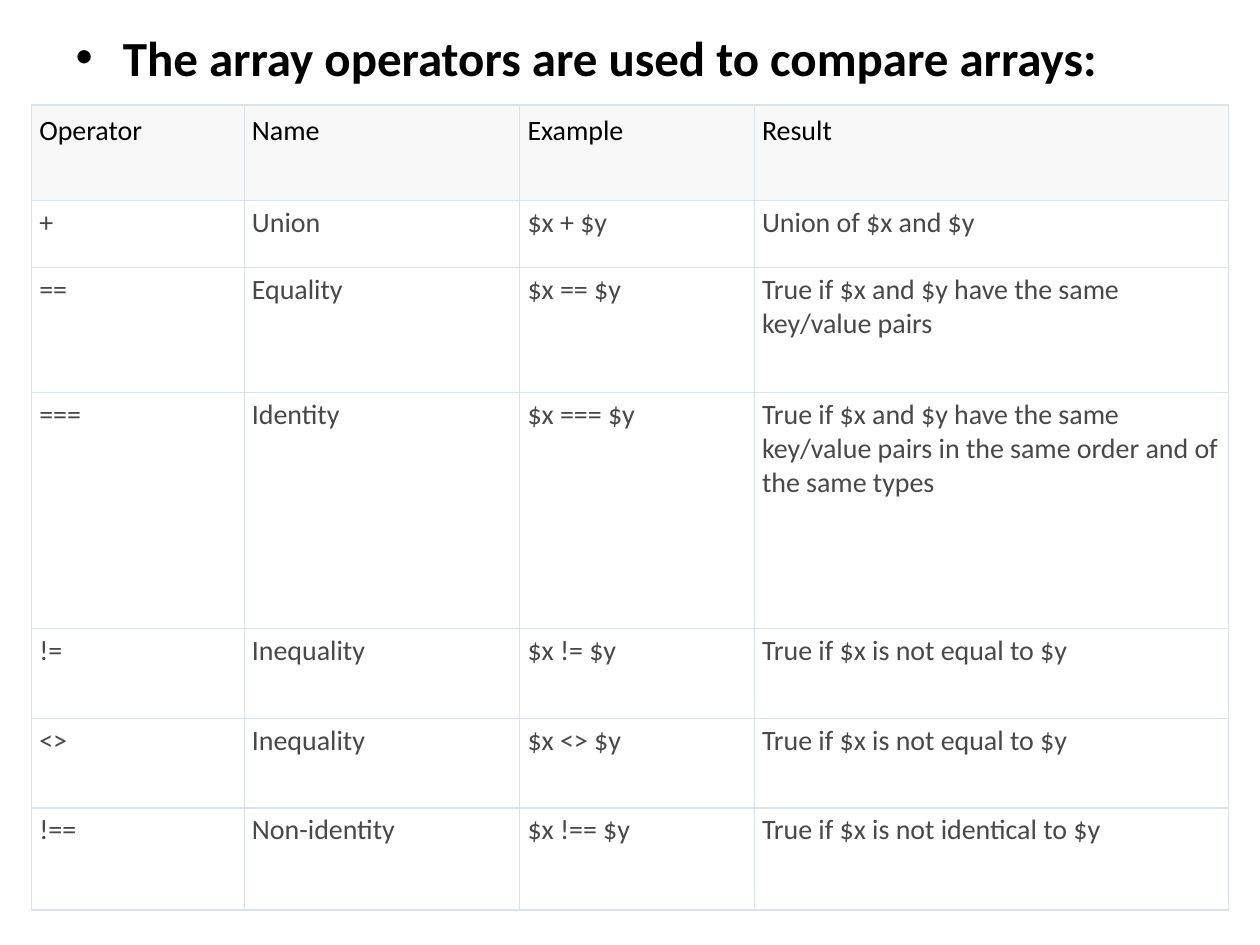
from lxml import etree
from pptx import Presentation
from pptx.dml.color import RGBColor
from pptx.enum import text
from pptx.oxml import ns
from pptx.util import Pt

FACE = "Calibri"
WIDTHS = [121.5, 157.5, 134, 271]
HEIGHTS = [54.7, 38.2, 71.3, 135.2, 51.2, 51.2, 58.3]
ROWS = [
    ("Operator", "Name", "Example", "Result"),
    ("+", "Union", "$x + $y", "Union of $x and $y"),
    ("==", "Equality", "$x == $y",
     "True if $x and $y have the same key/value pairs"),
    ("===", "Identity", "$x === $y",
     "True if $x and $y have the same key/value pairs "
     "in the same order and of the same types"),
    ("!=", "Inequality", "$x != $y", "True if $x is not equal to $y"),
    ("<>", "Inequality", "$x <> $y", "True if $x is not equal to $y"),
    ("!==", "Non-identity", "$x !== $y", "True if $x is not identical to $y"),
]


def tint(code):
    return RGBColor.from_string(code)


def apply(item, values):
    for key, value in values.items():
        setattr(item, key, value)


def place(item, box):
    apply(item, dict(zip(("left", "top", "width", "height"), map(Pt, box))))


def write(frame, words, size, color, bold=False):
    para = frame.paragraphs[0]
    para.space_before = Pt(0)
    run = para.add_run()
    run.text = words
    apply(run.font, {"name": FACE, "size": Pt(size), "bold": bold})
    run.font.color.rgb = tint(color)


def edge(cell, color, width):
    props = cell._tc.get_or_add_tcPr()
    # Borders come before the fill in the cell properties
    for spot, side in enumerate(("lnL", "lnR", "lnT", "lnB")):
        line = etree.Element(ns.qn(f"a:{side}"), w=str(Pt(width)))
        fill = etree.SubElement(line, ns.qn("a:solidFill"))
        etree.SubElement(fill, ns.qn("a:srgbClr"), val=color)
        props.insert(spot, line)


def add_lead(slide, box):
    body = slide.placeholders[1]
    place(body, box)
    apply(body.text_frame, {
        "word_wrap": True,
        "auto_size": text.MSO_AUTO_SIZE.NONE,
        "vertical_anchor": text.MSO_ANCHOR.TOP,
    })
    write(body.text_frame, "The array operators are used to compare arrays:",
          28, "000000", True)


def add_grid(slide, box):
    grid = slide.shapes.add_table(len(ROWS), len(WIDTHS), *map(Pt, box)).table
    apply(grid, {"first_row": False, "horz_banding": False})
    for col, width in zip(grid.columns, WIDTHS):
        col.width = Pt(width)
    for i, (row, height, words) in enumerate(zip(grid.rows, HEIGHTS, ROWS)):
        row.height = Pt(height)
        # The header row is shaded and has deeper margins
        back, ink, pad = ("FFFFFF", "484848", 3) if i else ("F8F8F8", "000000", 5)
        for cell, word in zip(row.cells, words):
            apply(cell, {
                "margin_left": Pt(4.5), "margin_right": Pt(4.5),
                "margin_top": Pt(pad), "margin_bottom": Pt(pad),
            })
            cell.fill.solid()
            cell.fill.fore_color.rgb = tint(back)
            edge(cell, "DCE3EB", 0.75)
            write(cell.text_frame, word, 16, ink)


def main():
    deck = Presentation()
    apply(deck, {"slide_width": Pt(720), "slide_height": Pt(540)})
    slide = deck.slides.add_slide(deck.slide_layouts[1])
    # The slide has no title, only a lead bullet
    title = slide.shapes.title.element
    title.getparent().remove(title)
    add_lead(slide, (36, 12, 648, 470))
    add_grid(slide, (18, 60, sum(WIDTHS), sum(HEIGHTS)))
    deck.save("out.pptx")


if __name__ == "__main__":
    main()
